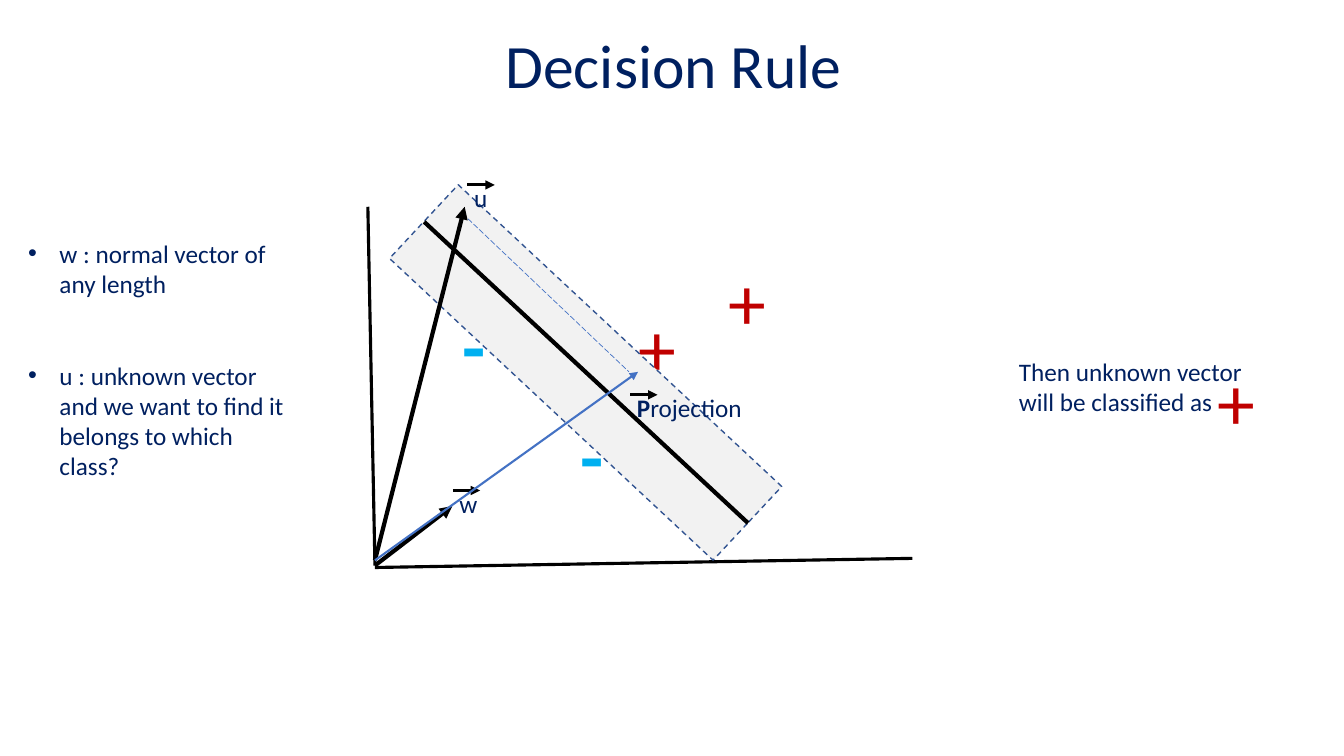
from lxml.etree import SubElement
from pptx import Presentation
from pptx.dml.color import RGBColor
from pptx.enum.dml import MSO_LINE
from pptx.enum.shapes import MSO_CONNECTOR, MSO_SHAPE
from pptx.enum.text import MSO_ANCHOR, MSO_AUTO_SIZE, PP_ALIGN
from pptx.oxml.ns import qn
from pptx.util import Cm, Pt

NAVY = RGBColor(0x00, 0x20, 0x60)
BLACK = RGBColor(0, 0, 0)
RED = RGBColor(0xC0, 0, 0)
CYAN = RGBColor(0, 0xB0, 0xF0)
BLUE = RGBColor(0x44, 0x72, 0xC4)
EDGE = RGBColor(0x32, 0x54, 0x91)
GREY = RGBColor(0xF2, 0xF2, 0xF2)


def style(font, size, color, bold=False):
    font.name = "Calibri"
    font.size = Pt(size)
    font.color.rgb = color
    font.bold = bold


def add_text(slide, x, y, w, h, text, size=18, color=NAVY, bold=False):
    box = slide.shapes.add_textbox(Cm(x), Cm(y), Cm(w), Cm(h))
    frame = box.text_frame
    frame.word_wrap = True
    frame.auto_size = MSO_AUTO_SIZE.SHAPE_TO_FIT_TEXT
    frame.text = text
    for para in frame.paragraphs:
        for run in para.runs:
            style(run.font, size, color, bold)
    return frame


def add_sign(slide, x, y, text):
    plus = text == "+"
    add_text(slide, x, y, 1.09, 2.57, text, 54, RED if plus else CYAN, not plus)


def add_line(slide, start, end, width, color=BLACK, arrow=False, dash=None):
    ends = [Cm(v) for v in (*start, *end)]
    line = slide.shapes.add_connector(MSO_CONNECTOR.STRAIGHT, *ends)
    line.line.color.rgb = color
    line.line.width = Pt(width)
    if dash:
        line.line.dash_style = dash
    if arrow:
        SubElement(line.line._get_or_add_ln(), qn("a:tailEnd"), type="triangle")
    SubElement(line._element.spPr, qn("a:effectLst"))


def add_label(slide, x, y, w, text):
    """Place a vector's name with a small arrow above it."""
    frame = add_text(slide, x, y, w, 1.02, text)
    add_line(slide, (x + 0.08, y + 0.19), (x + 0.77, y + 0.19), 2.25, arrow=True)
    return frame


def add_title(slide, x, y, w, h):
    title = slide.shapes.title
    title.left, title.top, title.width, title.height = Cm(x), Cm(y), Cm(w), Cm(h)
    frame = title.text_frame
    frame.text = "Decision Rule"
    frame.vertical_anchor = MSO_ANCHOR.MIDDLE
    frame.margin_left = frame.margin_right = Cm(0.13)
    frame.margin_top = frame.margin_bottom = 0
    para = frame.paragraphs[0]
    para.alignment = PP_ALIGN.CENTER
    para.line_spacing = 0.9
    style(para.runs[0].font, 44, NAVY)


def add_plot(slide, x, y):
    """Draw the axes, the margin band and the vectors from a top left corner."""
    def at(dx, dy):
        return x + dx, y + dy

    root, foot = at(0.45, 11.25), at(0.45, 11.12)
    add_line(slide, at(0.27, 2.21), root, 2.25)
    add_line(slide, at(0.45, 11.3), at(13.99, 11.07), 2.25)
    signs = [(6.85, 4.47, "+"), (9.11, 3.3, "+"), (2.4, 4.42, "-"), (5.38, 7.19, "-")]
    for dx, dy, sign in signs:
        add_sign(slide, *at(dx, dy), sign)

    left, top = at(4.49, 0.81)
    band = slide.shapes.add_shape(
        MSO_SHAPE.RECTANGLE, Cm(left), Cm(top), Cm(2.54), Cm(11.15))
    band.rotation = 313
    band.shadow.inherit = False
    band.fill.solid()
    band.fill.fore_color.rgb = GREY
    band.line.color.rgb = EDGE
    band.line.width = Pt(1)
    band.line.dash_style = MSO_LINE.DASH

    add_line(slide, at(1.69, 2.59), at(9.85, 10.18), 3)
    add_line(slide, root, at(2.4, 9.75), 3, arrow=True)
    add_label(slide, *at(2.33, 9.17), 0.61, "w")
    add_label(slide, *at(2.7, 1.47), 1.09, "u")
    add_line(slide, foot, at(2.71, 2.21), 3, arrow=True)
    add_line(slide, at(2.79, 2.51), at(6.85, 6.37), 0.5, BLUE, dash=MSO_LINE.LONG_DASH)
    add_line(slide, foot, at(7.08, 6.37), 1.5, BLUE, arrow=True)
    para = add_label(slide, *at(6.8, 6.76), 3.23, "P").paragraphs[0]
    para.runs[0].font.bold = True
    rest = para.add_run()
    rest.text = "rojection"
    style(rest.font, 18, NAVY)


def add_notes(slide, x, y, w, h):
    notes = ("w : normal vector of any length\n"
             "u\u00a0: unknown vector and we want to find it belongs to which class?")
    frame = add_text(slide, x, y, w, h, notes)
    for para in frame.paragraphs:
        props = para._p.get_or_add_pPr()
        props.set("marL", str(Cm(0.79)))
        props.set("indent", str(-Cm(0.79)))
        SubElement(props, qn("a:buFont"), typeface="Arial")
        SubElement(props, qn("a:buChar"), char="•")
    frame.paragraphs[1].space_before = Pt(44)


def add_result(slide, x, y, w, h):
    add_text(slide, x, y, w, h, "Then unknown vector will be classified as")
    add_sign(slide, x + 5, y - 0.05, "+")


def main():
    deck = Presentation()
    deck.slide_width, deck.slide_height = Cm(33.87), Cm(19.05)
    slide = deck.slides.add_slide(deck.slide_layouts[5])
    add_title(slide, 0.99, 0.13, 31.98, 3.18)
    add_plot(slide, 9, 3)
    add_notes(slide, 0.46, 5.87, 7.09, 7.19)
    add_result(slide, 25.43, 8.86, 6.96, 1.8)
    deck.save("out.pptx")


if __name__ == "__main__":
    main()
